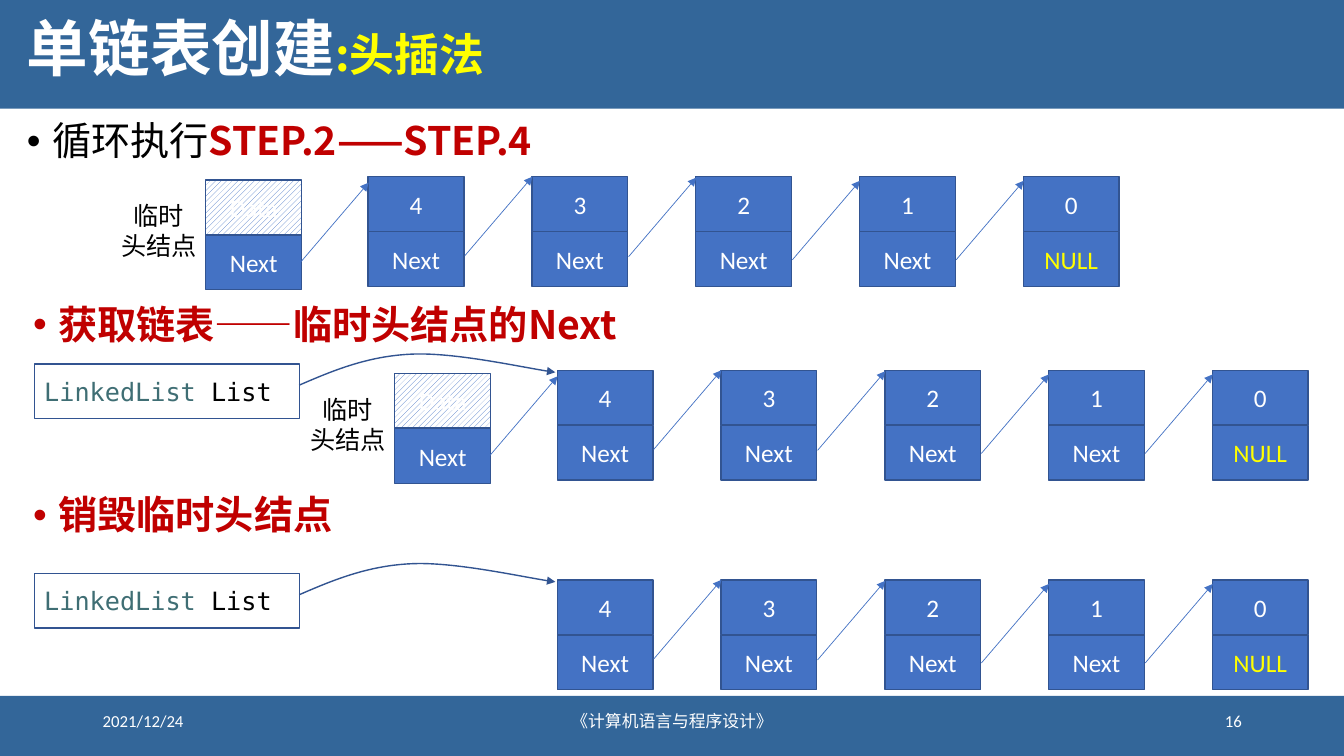
from dataclasses import dataclass

from lxml import etree
from pptx import Presentation
from pptx.dml.color import RGBColor
from pptx.enum.dml import MSO_PATTERN
from pptx.enum.shapes import MSO_CONNECTOR, MSO_SHAPE
from pptx.enum.text import MSO_ANCHOR, PP_ALIGN
from pptx.oxml.ns import qn
from pptx.util import Pt

RECTANGLE = MSO_SHAPE.RECTANGLE
STRAIGHT = MSO_CONNECTOR.STRAIGHT
HATCH = MSO_PATTERN.WIDE_UPWARD_DIAGONAL
TOP, MIDDLE = MSO_ANCHOR.TOP, MSO_ANCHOR.MIDDLE
LEFT, CENTER, RIGHT = PP_ALIGN.LEFT, PP_ALIGN.CENTER, PP_ALIGN.RIGHT


@dataclass(frozen=True)
class Theme:
    band: str = "336699"
    node: str = "4472C4"
    outline: str = "325491"
    white: str = "FFFFFF"
    black: str = "000000"
    red: str = "C00000"
    yellow: str = "FFFF00"
    type_name: str = "3F6E74"
    latin: str = "Calibri"
    chinese: str = "Noto Sans CJK SC"
    code: str = "DejaVu Sans Mono"
    title: int = 44
    subtitle: int = 32
    heading: int = 28
    label: int = 18
    footer: int = 12


THEME = Theme()

# A run is (text, format changes); a paragraph is a list of runs.
TITLE = [("单链表创建", {}),
         (":头插法", {"size": THEME.subtitle, "color": THEME.yellow})]
RED_BOLD = {"color": THEME.red, "bold": True}
HEAD_LABEL = [[("临时", {})], [("头结点", {})]]
LIST_VARIABLE = [("LinkedList ", {"color": THEME.type_name}), ("List", {})]
FOOTERS = [("2021/12/24", 66.2, 216, LEFT),
           ("《计算机语言与程序设计》", 318.2, 324, CENTER),
           ("16", 678.2, 216, RIGHT)]
VALUES = ["4", "3", "2", "1", "0"]
SECTIONS = [
    {"heading": [("循环执行", {}), ("STEP.2——STEP.4", RED_BOLD)],
     "heading_at": (12.2, 83.5), "row_at": (263, 126.2), "head": True, "variable": False},
    {"heading": [("获取链表——临时头结点的Next", RED_BOLD)],
     "heading_at": (16.6, 214.6), "row_at": (398, 264.5), "head": True, "variable": True},
    {"heading": [("销毁临时头结点", RED_BOLD)],
     "heading_at": (16.6, 350.6), "row_at": (398, 414.2), "head": False, "variable": True},
]

SLIDE_WIDTH, SLIDE_HEIGHT = 960, 540
NODE_WIDTH, CELL_HEIGHT, CELL_STEP, NODE_PITCH = 68.4, 39, 39.4, 117
HEAD_SHIFT = (-116, 2.3)
HEAD_ARROW_DROP = 4.3
ARROW_DROPS = [0, 0.7, 2.9, 2.9]
POINTER_CURVE = [(213.8, 10.6), (238.3, 0), (262.8, -10.1), (293.8, -11.5),
                 (324, -13), (379.4, -0.7), (396.7, 1.4)]


def write(shape, paragraphs, *, size=THEME.label, font=THEME.latin, color=THEME.white,
          bold=False, align=LEFT, anchor=MIDDLE, wrap=True, spacing=None, bullet=False):
    frame = shape.text_frame
    frame.word_wrap = wrap
    frame.vertical_anchor = anchor
    for index, runs in enumerate(paragraphs):
        paragraph = frame.add_paragraph() if index else frame.paragraphs[0]
        paragraph.alignment = align
        if bullet:
            properties = paragraph._p.get_or_add_pPr()
            properties.set("marL", str(Pt(18)))
            properties.set("indent", str(-Pt(18)))
            etree.SubElement(properties, qn("a:buFont"), typeface="Arial")
            etree.SubElement(properties, qn("a:buChar"), char="•")
        if spacing:
            paragraph.line_spacing = spacing
        for text, changes in runs:
            look = {"size": size, "color": color, "bold": bold, **changes}
            run = paragraph.add_run()
            run.text = text
            run.font.name = font
            run.font.size = Pt(look["size"])
            run.font.bold = look["bold"]
            run.font.color.rgb = RGBColor.from_string(look["color"])
            etree.SubElement(run._r.get_or_add_rPr(), qn("a:ea"), typeface=THEME.chinese)


def add_text(shapes, left, top, width, height, paragraphs, **style):
    box = shapes.add_textbox(Pt(left), Pt(top), Pt(width), Pt(height))
    write(box, paragraphs, **style)


def set_line(shape, color, width):
    shape.line.color.rgb = RGBColor.from_string(color)
    shape.line.width = Pt(width)


def add_arrowhead(shape):
    etree.SubElement(shape.line._get_or_add_ln(), qn("a:tailEnd"), type="triangle")


def add_box(shapes, left, top, width, height, *, fill=None, outline=None):
    box = shapes.add_shape(RECTANGLE, Pt(left), Pt(top), Pt(width), Pt(height))
    box.shadow.inherit = False
    if fill:
        box.fill.solid()
        box.fill.fore_color.rgb = RGBColor.from_string(fill)
    else:
        box.fill.background()
    if outline:
        set_line(box, outline, 1)
    else:
        box.line.fill.background()
    return box


def add_node(shapes, left, top, value, link, *, hatched=False):
    group = shapes.add_group_shape()
    for row, text in enumerate([value, link]):
        cell = add_box(group.shapes, left, top + row * CELL_STEP, NODE_WIDTH, CELL_HEIGHT,
                       fill=THEME.node, outline=THEME.outline)
        if hatched and row == 0:
            cell.fill.patterned()
            cell.fill.pattern = HATCH
            cell.fill.fore_color.rgb = RGBColor.from_string(THEME.node)
            cell.fill.back_color.rgb = RGBColor.from_string(THEME.white)
        color = THEME.yellow if text == "NULL" else THEME.white
        write(cell, [[(text, {})]], color=color, align=CENTER)


def add_link(shapes, left, top):
    """Draw the arrow from the Next cell of the node at left to the node after it."""
    link = shapes.add_connector(STRAIGHT, Pt(left + 69), Pt(top + 56.5),
                                Pt(left + NODE_PITCH + 0.3), Pt(top))
    set_line(link, THEME.node, 0.5)
    add_arrowhead(link)
    etree.SubElement(link._element.spPr, qn("a:effectLst"))


def add_pointer(shapes, row_top):
    """Draw the curved arrow from the list variable to the first node."""
    points = [(Pt(x), Pt(row_top + y)) for x, y in POINTER_CURVE]
    builder = shapes.build_freeform(*points[0])
    builder.add_line_segments(points[1:], close=False)
    pointer = builder.convert_to_shape()
    pointer.shadow.inherit = False
    pointer.fill.background()
    set_line(pointer, THEME.outline, 1)
    add_arrowhead(pointer)
    outline = next(pointer._element.iter(qn("a:path")))
    segments = outline.findall(qn("a:lnTo"))
    for start in range(0, len(segments), 3):
        curve = etree.SubElement(outline, qn("a:cubicBezTo"))
        for segment in segments[start:start + 3]:
            curve.append(segment[0])
            outline.remove(segment)


def add_section(shapes, section):
    add_text(shapes, *section["heading_at"], 926.6, 43.2, [section["heading"]],
             size=THEME.heading, font=THEME.chinese, color=THEME.black,
             anchor=TOP, spacing=0.9, bullet=True)
    left, top = section["row_at"]
    for index, value in enumerate(VALUES):
        link = "NULL" if index == len(VALUES) - 1 else "Next"
        add_node(shapes, left + index * NODE_PITCH, top, value, link)
    for index, drop in enumerate(ARROW_DROPS):
        add_link(shapes, left + index * NODE_PITCH, top + drop)
    if section["head"]:
        head_left = left + HEAD_SHIFT[0]
        add_node(shapes, head_left, top + HEAD_SHIFT[1], "Data", "Next", hatched=True)
        add_link(shapes, left - NODE_PITCH, top + HEAD_ARROW_DROP)
        add_text(shapes, head_left - 68, top + 13.5, 69, 51, HEAD_LABEL, font=THEME.chinese,
                 color=THEME.black, align=CENTER, anchor=TOP, wrap=False)
    if section["variable"]:
        variable = add_box(shapes, 24.5, top - 4.5, 189.4, CELL_HEIGHT, outline=THEME.outline)
        write(variable, [LIST_VARIABLE], font=THEME.code, color=THEME.black)
        add_pointer(shapes, top)


def main():
    presentation = Presentation()
    presentation.slide_width, presentation.slide_height = Pt(SLIDE_WIDTH), Pt(SLIDE_HEIGHT)
    shapes = presentation.slides.add_slide(presentation.slide_layouts[6]).shapes
    for top, height in [(0, 77.6), (497, 43)]:
        add_box(shapes, 0, top, SLIDE_WIDTH, height, fill=THEME.band)
    add_text(shapes, 12.2, 0, 926.6, 74.2, [TITLE], size=THEME.title,
             font=THEME.chinese, bold=True, spacing=0.9)
    for text, left, width, align in FOOTERS:
        add_text(shapes, left, 500.4, width, 28.8, [[(text, {})]],
                 size=THEME.footer, align=align)
    for section in SECTIONS:
        add_section(shapes, section)
    presentation.save("out.pptx")


if __name__ == "__main__":
    main()
